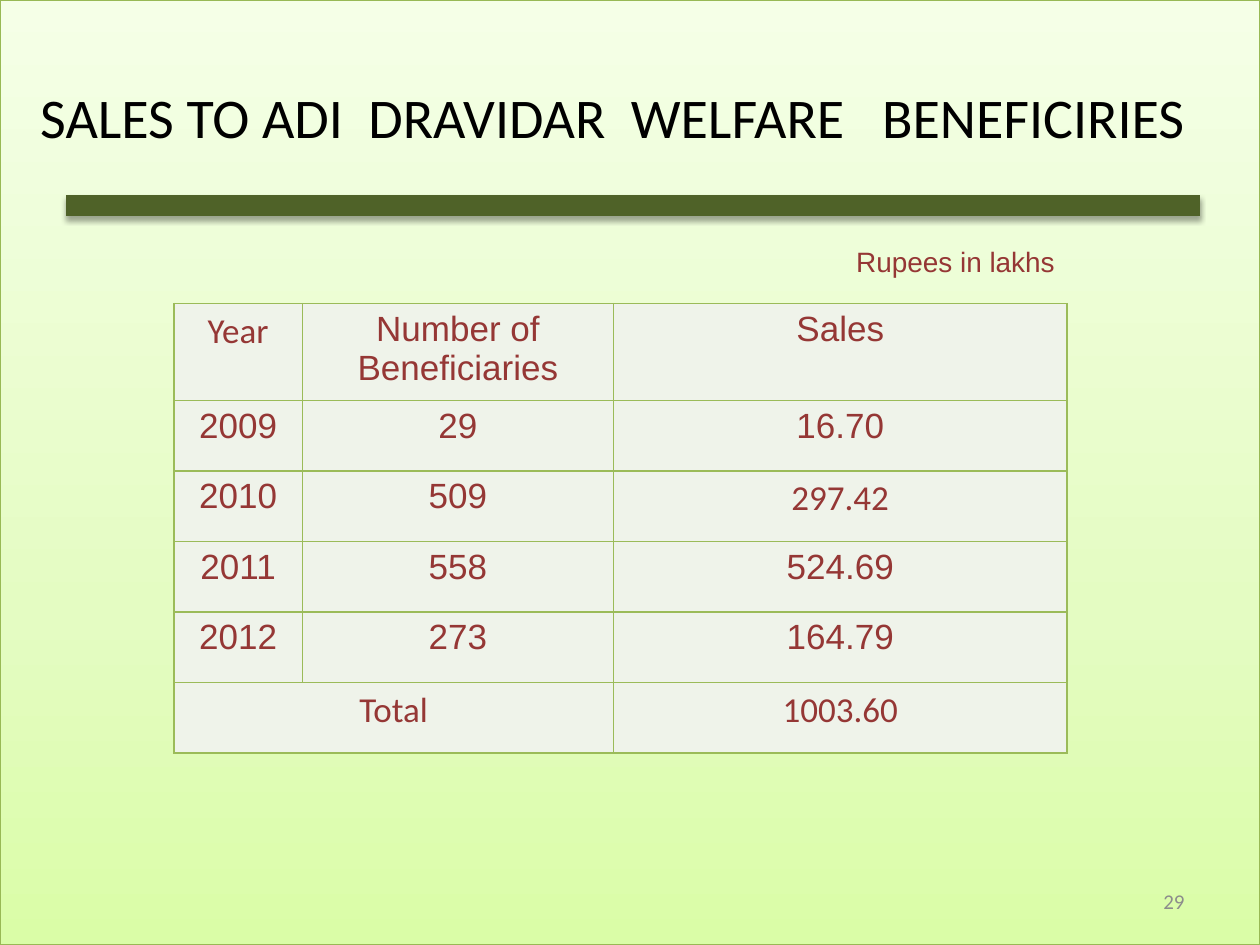
from dataclasses import dataclass
from lxml import etree
from pptx import Presentation
from pptx.dml.color import RGBColor
from pptx.enum.shapes import MSO_SHAPE
from pptx.enum.text import MSO_ANCHOR, PP_ALIGN
from pptx.oxml import parse_xml
from pptx.oxml.ns import nsdecls, qn
from pptx.util import Inches, Pt

RECTANGLE, MINUS = MSO_SHAPE.RECTANGLE, MSO_SHAPE.MATH_MINUS
CENTER, RIGHT = PP_ALIGN.CENTER, PP_ALIGN.RIGHT
TOP, MIDDLE = MSO_ANCHOR.TOP, MSO_ANCHOR.MIDDLE
TITLE_ONLY = 5


@dataclass(frozen=True)
class Theme:
    heading: str = "Calibri"
    body: str = "Arial"
    ink: str = "000000"
    accent: str = "953735"
    muted: str = "8C8C8C"
    bar: str = "4F6228"
    frame: str = "98B955"
    grid: str = "9BBB59"
    cell: str = "EFF3EA"
    backdrop: tuple = ((0, "DAFDA7"), (35, "E4FCC2"), (100, "F5FFE7"))
    title_size: int = 32
    table_size: int = 20
    unit_size: int = 16
    number_size: int = 12


THEME = Theme()
WIDTH, HEIGHT = 10, 7.5
TITLE = "SALES TO ADI  DRAVIDAR  WELFARE   BENEFICIRIES"
UNIT = "Rupees in lakhs"
PAGE_NUMBER = "29"
ROWS = [
    ("Year", "Number of Beneficiaries", "Sales"),
    ("2009", "29", "16.70"),
    ("2010", "509", "297.42"),
    ("2011", "558", "524.69"),
    ("2012", "273", "164.79"),
    ("Total", "", "1003.60"),
]
HEADING_FONT_CELLS = {"Year", "297.42", "Total", "1003.60"}
COLUMN_WIDTHS = (1.02, 2.47, 3.6)
HEADER_HEIGHT, ROW_HEIGHT = 0.72, 0.56
TABLE_LEFT, TABLE_TOP = 1.38, 2.41


def inches(*lengths):
    return [Inches(length) for length in lengths]


def write(frame, text, font, size, color, align, anchor):
    frame.text = text
    frame.word_wrap = True
    frame.vertical_anchor = anchor
    para = frame.paragraphs[0]
    para.alignment = align
    for span in para.runs:
        span.font.name = font
        span.font.size = Pt(size)
        span.font.color.rgb = RGBColor.from_string(color)


def add_backdrop(page):
    panel = page.shapes.add_shape(RECTANGLE, *inches(0, 0, WIDTH, HEIGHT))
    panel.shadow.inherit = False
    panel.line.color.rgb = RGBColor.from_string(THEME.frame)
    panel.line.width = Pt(0.75)
    panel.fill.gradient()
    panel.fill.gradient_angle = 90
    stops = panel.element.spPr.find(f".//{qn('a:gsLst')}")
    for stop in list(stops):
        stops.remove(stop)
    for share, color in THEME.backdrop:
        stop = etree.SubElement(stops, qn("a:gs"), pos=str(share * 1000))
        etree.SubElement(stop, qn("a:srgbClr"), val=color)
    page.shapes.element.insert(2, panel.element)


def add_bar(page):
    bar = page.shapes.add_shape(MINUS, *inches(-1.1, 1.28, 12.25, 0.71))
    bar.fill.solid()
    bar.fill.fore_color.rgb = RGBColor.from_string(THEME.bar)
    bar.line.fill.background()
    bar.shadow.inherit = False
    bar.element.spPr.find(qn("a:effectLst")).append(parse_xml(
        f'<a:outerShdw {nsdecls("a")} blurRad="{Pt(3.1)}" dist="{Pt(1.8)}" '
        'dir="5400000" rotWithShape="0"><a:srgbClr val="000000">'
        '<a:alpha val="35000"/></a:srgbClr></a:outerShdw>'))


def add_label(page, place, *style):
    box = page.shapes.add_textbox(*inches(*place))
    write(box.text_frame, *style)


def style_cell(cell):
    properties = cell._tc.get_or_add_tcPr()
    for side in ("lnL", "lnR", "lnT", "lnB"):
        properties.append(parse_xml(
            f'<a:{side} {nsdecls("a")} w="{Pt(1)}"><a:solidFill>'
            f'<a:srgbClr val="{THEME.grid}"/></a:solidFill></a:{side}>'))
    cell.fill.solid()
    cell.fill.fore_color.rgb = RGBColor.from_string(THEME.cell)


def add_sales_table(page):
    heights = [HEADER_HEIGHT] + [ROW_HEIGHT] * (len(ROWS) - 1)
    place = inches(TABLE_LEFT, TABLE_TOP, sum(COLUMN_WIDTHS), sum(heights))
    table = page.shapes.add_table(len(ROWS), len(COLUMN_WIDTHS), *place).table
    table.first_row = table.horz_banding = False
    for column, width in zip(table.columns, COLUMN_WIDTHS):
        column.width = Inches(width)
    for row, height, texts in zip(table.rows, heights, ROWS):
        row.height = Inches(height)
        for cell, text in zip(row.cells, texts):
            font = THEME.heading if text in HEADING_FONT_CELLS else THEME.body
            write(cell.text_frame, text, font, THEME.table_size,
                  THEME.accent, CENTER, TOP)
            style_cell(cell)
    last = len(ROWS) - 1
    table.cell(last, 0).merge(table.cell(last, 1))


def main():
    deck = Presentation()
    deck.slide_width, deck.slide_height = inches(WIDTH, HEIGHT)
    page = deck.slides.add_slide(deck.slide_layouts[TITLE_ONLY])
    add_backdrop(page)
    add_bar(page)
    title = page.shapes.title
    title.left, title.top, title.width, title.height = inches(0, 0.3, 9.73, 1.25)
    write(title.text_frame, TITLE, THEME.heading, THEME.title_size,
          THEME.ink, CENTER, MIDDLE)
    add_label(page, (7.17, 6.95, 2.33, 0.4), PAGE_NUMBER, THEME.heading,
              THEME.number_size, THEME.muted, RIGHT, MIDDLE)
    add_sales_table(page)
    add_label(page, (5.79, 1.89, 2.68, 0.37), UNIT, THEME.body,
              THEME.unit_size, THEME.accent, RIGHT, TOP)
    deck.save("out.pptx")


if __name__ == "__main__":
    main()
